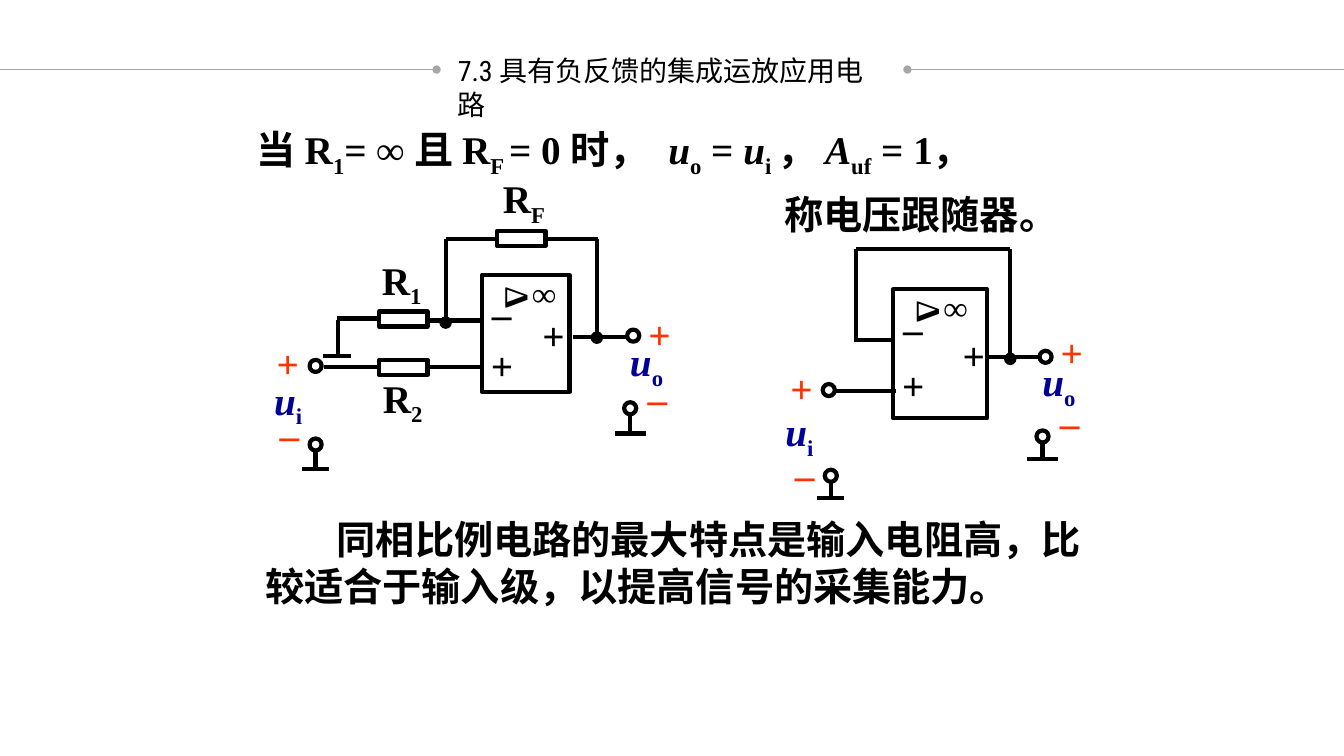
from dataclasses import dataclass

from lxml import etree
from pptx import Presentation
from pptx.dml.color import RGBColor
from pptx.enum.shapes import MSO_CONNECTOR, MSO_SHAPE
from pptx.enum.text import MSO_ANCHOR, MSO_AUTO_SIZE, PP_ALIGN
from pptx.oxml.ns import qn
from pptx.util import Inches, Pt

STRAIGHT = MSO_CONNECTOR.STRAIGHT
RECT, OVAL = MSO_SHAPE.RECTANGLE, MSO_SHAPE.OVAL
LEFT, CENTER = PP_ALIGN.LEFT, PP_ALIGN.CENTER
TOP = MSO_ANCHOR.TOP
NO_FIT = MSO_AUTO_SIZE.NONE

BLACK = RGBColor(0x00, 0x00, 0x00)
GRAY = RGBColor(0xA6, 0xA6, 0xA6)
NAVY = RGBColor(0x00, 0x00, 0x99)
RED = RGBColor(0xFF, 0x33, 0x00)

SERIF, CJK = "Times New Roman", "Noto Sans CJK SC"
TITLE = {"size": Pt(20), "name": "Roboto Condensed", "bold": False}
BODY = {"size": Pt(28), "name": CJK, "bold": True}
MATH = {"size": Pt(28), "name": SERIF, "bold": True}
SMALL = {**MATH, "size": Pt(24)}
CIRCLE = 0.12


@dataclass
class Run:
    text: str
    sub: bool = False
    italic: bool = False


@dataclass
class Label:
    left: float
    top: float
    width: float
    runs: list[Run]
    color: RGBColor = BLACK
    align: PP_ALIGN = LEFT
    small: bool = False
    rotation: int = 0


@dataclass
class Wire:
    x1: float
    y1: float
    x2: float
    y2: float
    node: bool = False


@dataclass
class Ground:
    cx: float
    top: float
    bar_y: float
    bar_width: float


@dataclass
class OpAmp:
    left: float
    top: float
    width: float
    height: float
    out_dx: float
    out_dy: float


@dataclass
class Circuit:
    amp: OpAmp
    wires: list[Wire]
    resistors: list[tuple[float, float]]
    terminals: list[tuple[float, float]]
    grounds: list[Ground]
    labels: list[Label]


def symbol(name: str, sub: str, italic: bool = False) -> list[Run]:
    return [Run(name, italic=italic), Run(sub, sub=True)]


def sign(left: float, top: float, width: float, text: str) -> Label:
    return Label(left, top, width, [Run(text)], RED, CENTER)


def voltage(left: float, top: float, sub: str) -> Label:
    return Label(left, top, 1, symbol("u", sub, True), NAVY)


CIRCUITS = [
    Circuit(
        OpAmp(4.78, 2.73, 0.87, 1.16, 0.5, 0.31),
        [Wire(5.92, 2.37, 5.92, 3.35, True), Wire(4.42, 2.37, 4.42, 3.2, True),
         Wire(5.43, 2.37, 5.93, 2.37), Wire(4.42, 2.37, 4.93, 2.37),
         Wire(3.75, 3.16, 3.34, 3.16), Wire(3.35, 3.17, 3.35, 3.53),
         Wire(3.2, 3.53, 3.48, 3.53), Wire(3.78, 3.64, 3.21, 3.64),
         Wire(4.24, 3.64, 4.79, 3.64), Wire(4.24, 3.18, 4.79, 3.18),
         Wire(5.68, 3.34, 6.23, 3.34)],
        [(4.93, 2.29), (3.76, 3.09), (3.76, 3.57)],
        [(3.07, 3.57), (6.22, 3.27)],
        [Ground(3.13, 4.35, 4.65, 0.27), Ground(6.25, 3.99, 4.3, 0.31)],
        [Label(4.89, 1.68, 1.06, symbol("R", "F")),
         Label(3.69, 2.49, 0.66, symbol("R", "1")),
         Label(3.7, 3.66, 0.66, symbol("R", "2")),
         voltage(6.15, 3.3, "o"), voltage(2.62, 3.68, "i"),
         sign(2.64, 3.32, 0.43, "+"), sign(2.67, 4.02, 0.4, "–"),
         sign(6.33, 3.03, 0.42, "+"), sign(6.22, 3.66, 0.6, "–")]),
    Circuit(
        OpAmp(8.86, 2.87, 0.93, 1.28, 0.59, 0.37),
        [Wire(10.02, 2.47, 10.02, 3.56, True), Wire(8.49, 2.47, 8.49, 3.39),
         Wire(8.49, 2.47, 10.02, 2.47), Wire(8.49, 3.37, 8.86, 3.37),
         Wire(8.26, 3.88, 8.89, 3.88), Wire(9.78, 3.54, 10.32, 3.54)],
        [],
        [(8.16, 3.81), (10.31, 3.48)],
        [Ground(8.24, 4.66, 4.94, 0.27), Ground(10.34, 4.27, 4.55, 0.31)],
        [voltage(10.24, 3.5, "o"), voltage(7.69, 3.99, "i"),
         sign(7.74, 3.57, 0.42, "+"), sign(7.78, 4.42, 0.4, "–"),
         sign(10.42, 3.21, 0.42, "+"), sign(10.31, 3.9, 0.6, "–")]),
]


def write(p, runs: list[Run], fmt: dict, color: RGBColor = BLACK) -> None:
    for run in runs:
        r = p.add_run()
        r.text = run.text
        for name, value in {**fmt, "italic": run.italic}.items():
            setattr(r.font, name, value)
        r.font.color.rgb = color
        rPr = r._r.get_or_add_rPr()
        etree.SubElement(rPr, qn("a:ea")).set("typeface", CJK)
        if run.sub:
            rPr.set("baseline", "-25000")


def place(sp, left: float, top: float, width: float, height: float) -> None:
    box = {"left": left, "top": top, "width": width, "height": height}
    for name, value in box.items():
        setattr(sp, name, Inches(value))


def add_text(shapes, left: float, top: float, width: float, height: float):
    sp = shapes.add_textbox(*map(Inches, (left, top, width, height)))
    sp.text_frame.word_wrap = True
    return sp


def add_label(shapes, label: Label) -> None:
    sp = add_text(shapes, label.left, label.top, label.width, 0.5 if label.small else 0.57)
    sp.rotation = label.rotation
    sp.text_frame.word_wrap = label.align != CENTER
    p = sp.text_frame.paragraphs[0]
    p.alignment = label.align
    write(p, label.runs, SMALL if label.small else MATH, label.color)


def add_line(shapes, wire: Wire, color: RGBColor = BLACK, width: float = 3,
             end: str = "a:tailEnd") -> None:
    """Draw a wire; a node wire carries a dot at the given end."""
    ends = map(Inches, (wire.x1, wire.y1, wire.x2, wire.y2))
    sp = shapes.add_connector(STRAIGHT, *ends)
    sp.line.color.rgb = color
    sp.line.width = Pt(width)
    if wire.node:
        etree.SubElement(sp.line._get_or_add_ln(), qn(end)).set("type", "oval")
    etree.SubElement(sp._element.spPr, qn("a:effectLst"))


def add_outline(shapes, kind, left: float, top: float, width: float, height: float) -> None:
    sp = shapes.add_shape(kind, *map(Inches, (left, top, width, height)))
    sp.shadow.inherit = False
    sp.fill.background()
    sp.line.color.rgb = BLACK
    sp.line.width = Pt(3)


def add_amp(shapes, amp: OpAmp) -> None:
    x, y, h = amp.left, amp.top, amp.height
    add_outline(shapes, RECT, x, y, amp.width, h)
    for label in (
        Label(x - 0.01, y + 0.52 * h, 0.42, [Run("+")]),
        Label(x + amp.out_dx, y + amp.out_dy, 0.75, [Run("+")]),
        Label(x, y + 0.08 * h, 0.62, [Run("–")]),
        Label(x + 0.4, y - 0.07, 1, [Run("∞")], small=True),
        Label(x + 0.16, y - 0.02, 0.41, [Run("Δ")], align=CENTER, small=True, rotation=90),
    ):
        add_label(shapes, label)


def add_ground(shapes, g: Ground) -> None:
    half = g.bar_width / 2
    add_outline(shapes, OVAL, g.cx - CIRCLE / 2, g.top, CIRCLE, CIRCLE)
    add_line(shapes, Wire(g.cx, g.top + CIRCLE, g.cx, g.bar_y))
    add_line(shapes, Wire(g.cx - half, g.bar_y, g.cx + half, g.bar_y))


def add_circuit(shapes, circuit: Circuit) -> None:
    add_amp(shapes, circuit.amp)
    for wire in circuit.wires:
        add_line(shapes, wire)
    for left, top in circuit.resistors:
        add_outline(shapes, RECT, left, top, 0.48, 0.15)
    for left, top in circuit.terminals:
        add_outline(shapes, OVAL, left, top, CIRCLE, CIRCLE)
    for ground in circuit.grounds:
        add_ground(shapes, ground)
    for label in circuit.labels:
        add_label(shapes, label)


def fill_placeholder(sp, text: str, fmt: dict, indent: float = 0) -> None:
    tf = sp.text_frame
    for name, value in {"word_wrap": True, "auto_size": NO_FIT, "vertical_anchor": TOP}.items():
        setattr(tf, name, value)
    p = tf.paragraphs[0]
    pPr = p._p.get_or_add_pPr()
    pPr.set("marL", "0")
    pPr.set("indent", str(Inches(indent)))
    etree.SubElement(pPr, qn("a:buNone"))
    p.alignment, p.space_before = LEFT, Pt(0)
    write(p, [Run(text)], fmt)


def add_formulas(shapes) -> None:
    p = add_text(shapes, 2.36, 1.06, 4.67, 0.68).text_frame.paragraphs[0]
    p.line_spacing = 1.25
    write(p, [Run(" 当 R"), Run("1", sub=True), Run("= ∞ 且 R"),
              Run("F ", sub=True), Run("= 0 时，")], MATH)
    tf = add_text(shapes, 6.53, 1.06, 4.5, 1.27).text_frame
    p, follower = tf.paragraphs[0], tf.add_paragraph()
    p.line_spacing = follower.line_spacing = 1.25
    write(p, [*symbol("u", "o", True), Run(" = "), *symbol("u", "i ", True),
              Run("， "), *symbol("A", "uf", True), Run(" = 1，")], MATH)
    follower._p.get_or_add_pPr().set("marL", str(Inches(1.15)))
    write(follower, [Run("称电压跟随器。")], MATH)


def main() -> None:
    prs = Presentation()
    prs.slide_width, prs.slide_height = Inches(13.33), Inches(7.5)
    s = prs.slides.add_slide(prs.slide_layouts[1])
    title, body = s.placeholders
    place(title, 4.44, 0.48, 4.45, 0.44)
    fill_placeholder(title, "7.3 具有负反馈的集成运放应用电路", TITLE)
    place(body, 2.53, 5.06, 8.5, 1.04)
    fill_placeholder(body, "同相比例电路的最大特点是输入电阻高，比较适合于输入级，以提高信号的采集能力。", BODY, 0.71)
    add_line(s.shapes, Wire(0, 0.69, 4.33, 0.69, True), GRAY, 0.5)
    add_line(s.shapes, Wire(9, 0.69, 13.33, 0.69, True), GRAY, 0.5, "a:headEnd")
    add_formulas(s.shapes)
    for circuit in CIRCUITS:
        add_circuit(s.shapes.add_group_shape().shapes, circuit)
    prs.save("out.pptx")


if __name__ == "__main__":
    main()
